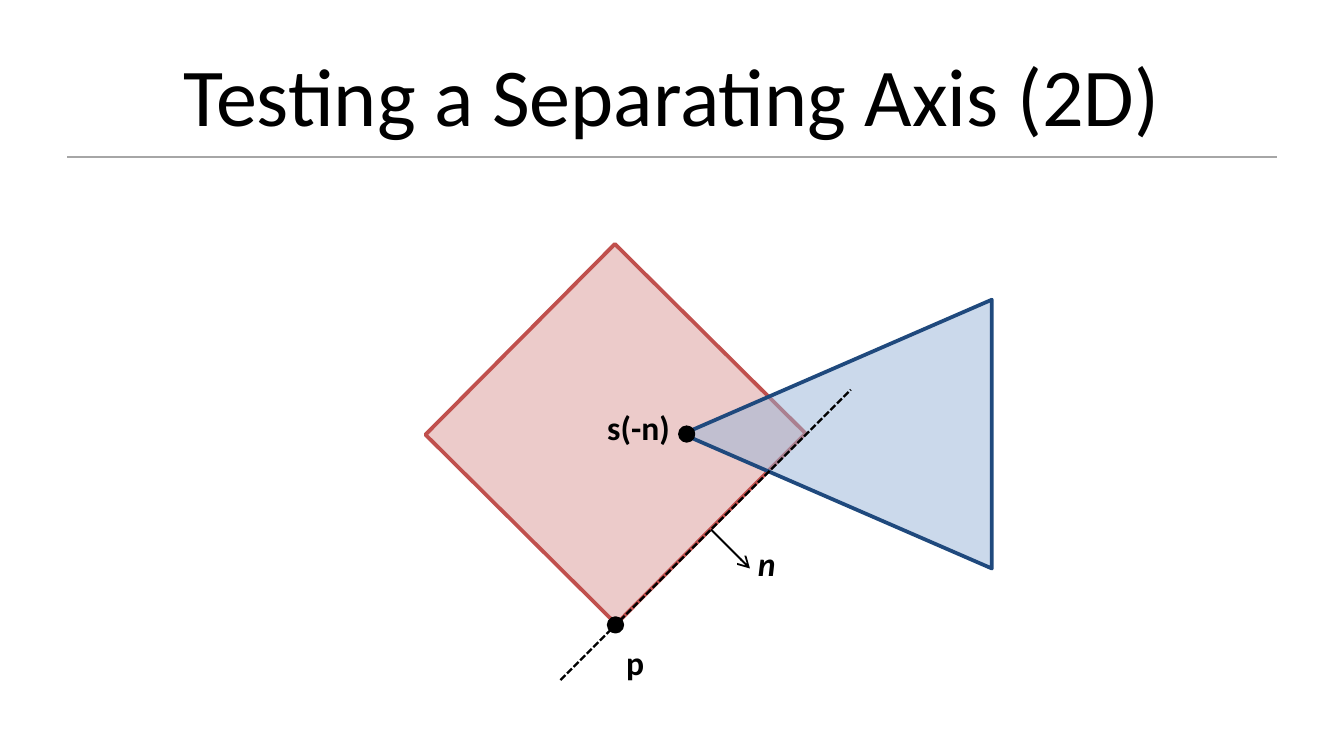
from lxml.etree import SubElement
from pptx import Presentation
from pptx.dml.color import RGBColor
from pptx.enum.dml import MSO_LINE
from pptx.enum.shapes import MSO_CONNECTOR, MSO_SHAPE
from pptx.enum.text import MSO_ANCHOR, MSO_AUTO_SIZE, PP_ALIGN
from pptx.oxml.ns import qn
from pptx.util import Inches, Pt

COLORS = {
    "black": "000000",
    "rule": "A6A6A6",
    "square fill": "D99694",
    "square line": "C0504D",
    "triangle fill": "95B3D7",
    "triangle line": "1F497D",
}
FONT = "Calibri"
DOT_SIZE = 0.1

# Content: places are left, top, width, height in inches
TITLE = ("Testing a Separating Axis (2D)", (0.5, 0.23, 9, 0.94))
POLYGONS = [
    ("square", MSO_SHAPE.RECTANGLE, (3.58, 2.23, 2, 2), 44.8),
    ("triangle", MSO_SHAPE.ISOSCELES_TRIANGLE, (5.23, 2.08, 2, 2.3), 270),
]
LABELS = [
    ("n", (5.54, 3.99, 0.37, 0.4), True),
    ("s(-n)", (4.42, 2.98, 0.74, 0.4), False),
    ("p", (4.56, 4.73, 0.33, 0.4), False),
]
DOT_CENTERS = [(5.11, 3.23), (4.58, 4.65)]
TITLE_RULE = ((0.5, 1.17), (9.5, 1.17))
SEPARATING_AXIS = ((4.17, 5.06), (6.33, 2.9))
NORMAL = ((5.29, 3.94), (5.58, 4.23))


def color(name):
    return RGBColor.from_string(COLORS[name])


def inches(values):
    return [Inches(value) for value in values]


def add_text(page, text, place, size=18, bold=None, italic=None, title=False):
    box = page.shapes.add_textbox(*inches(place))
    frame = box.text_frame
    frame.word_wrap = title
    frame.auto_size = MSO_AUTO_SIZE.NONE if title else MSO_AUTO_SIZE.SHAPE_TO_FIT_TEXT
    frame.vertical_anchor = MSO_ANCHOR.MIDDLE if title else MSO_ANCHOR.TOP
    para = frame.paragraphs[0]
    para.alignment = PP_ALIGN.CENTER if title else PP_ALIGN.LEFT
    span = para.add_run()
    span.text = text
    span.font.name = FONT
    span.font.size = Pt(size)
    span.font.bold = bold
    span.font.italic = italic
    span.font.color.rgb = color("black")


def add_figure(page, kind, place, fill, line, rotation=0, opacity=100):
    figure = page.shapes.add_shape(kind, *inches(place))
    figure.shadow.inherit = False
    figure.rotation = rotation
    figure.fill.solid()
    figure.fill.fore_color.rgb = color(fill)
    figure.line.color.rgb = color(line)
    figure.line.width = Pt(2)
    if opacity < 100:
        tint = figure.fill._xPr.find(qn("a:solidFill"))[0]
        SubElement(tint, qn("a:alpha"), val=str(opacity * 1000))


def add_line(page, ends, name="black", width=1, dash=None, arrow=False):
    start, end = ends
    line = page.shapes.add_connector(MSO_CONNECTOR.STRAIGHT, *inches(start + end))
    line.line.color.rgb = color(name)
    line.line.width = Pt(width)
    if dash:
        line.line.dash_style = dash
    if arrow:
        SubElement(line.line._get_or_add_ln(), qn("a:tailEnd"), type="arrow")
    SubElement(line._element.spPr, qn("a:effectLst"))


# Widescreen page, 16:9
deck = Presentation()
deck.slide_width = Inches(10)
deck.slide_height = Inches(10 * 9 / 16)
page = deck.slides.add_slide(deck.slide_layouts[6])

# Title
add_text(page, *TITLE, size=44, title=True)

# Overlapping polygons
for name, kind, place, rotation in POLYGONS:
    add_figure(page, kind, place, f"{name} fill", f"{name} line", rotation, opacity=49)

# Separating axis, labels and title rule
add_line(page, SEPARATING_AXIS, width=1.25, dash=MSO_LINE.SQUARE_DOT)
for text, place, italic in LABELS:
    add_text(page, text, place, bold=True, italic=italic)
add_line(page, TITLE_RULE, "rule")

# Support points and edge normal
for x, y in DOT_CENTERS:
    place = (x - DOT_SIZE / 2, y - DOT_SIZE / 2, DOT_SIZE, DOT_SIZE)
    add_figure(page, MSO_SHAPE.OVAL, place, "black", "black")
add_line(page, NORMAL, arrow=True)

deck.save("out.pptx")
